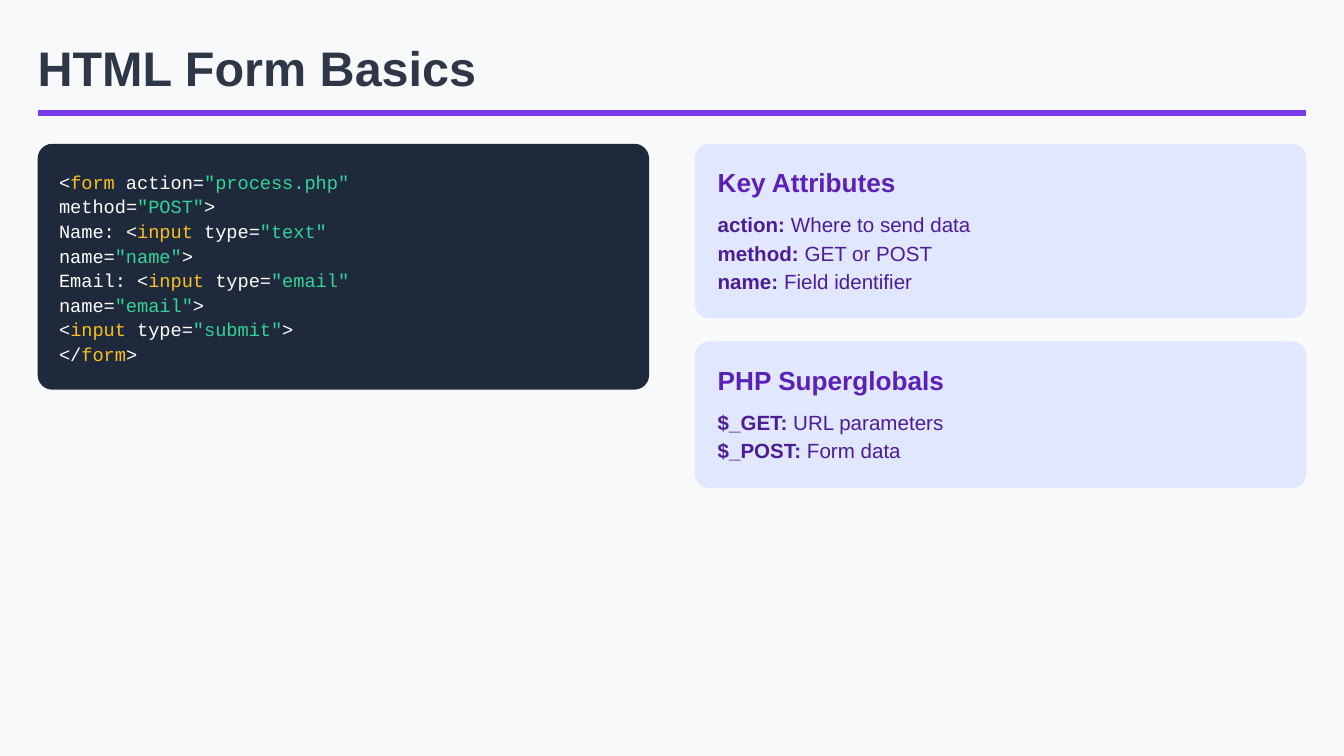
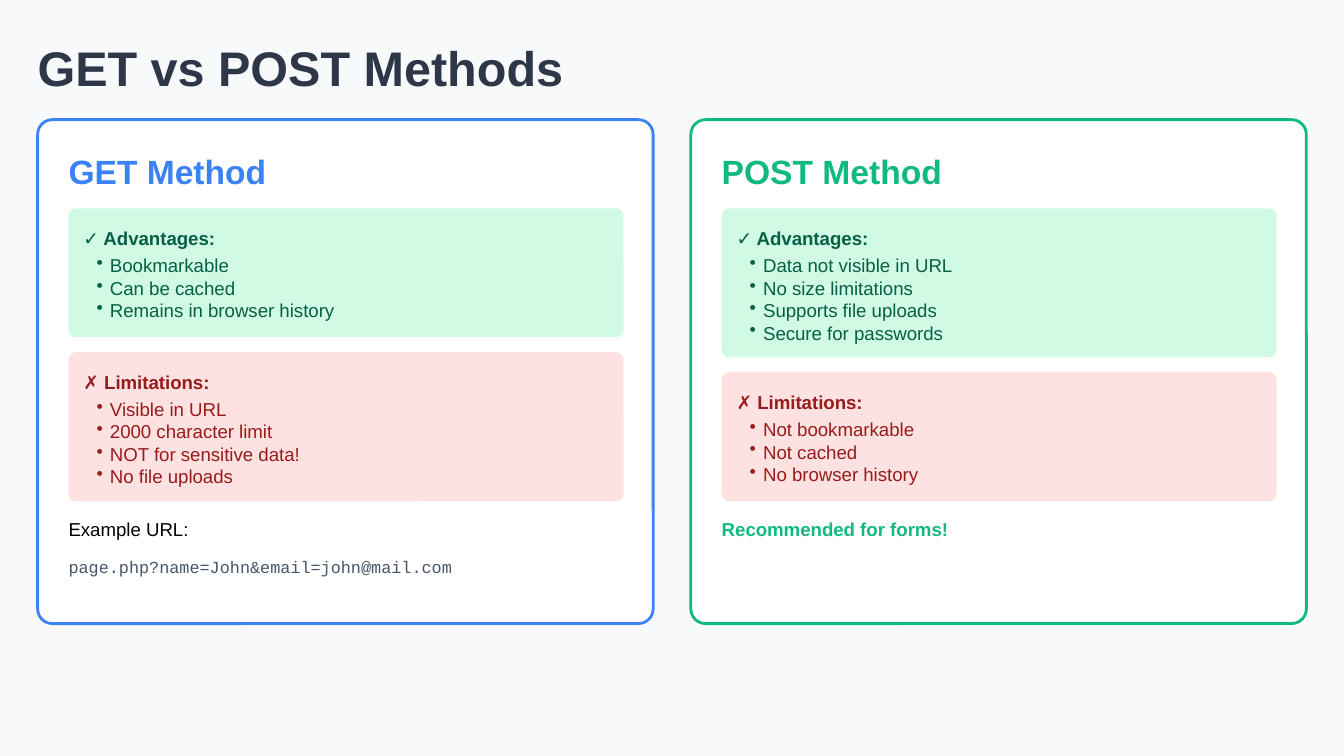
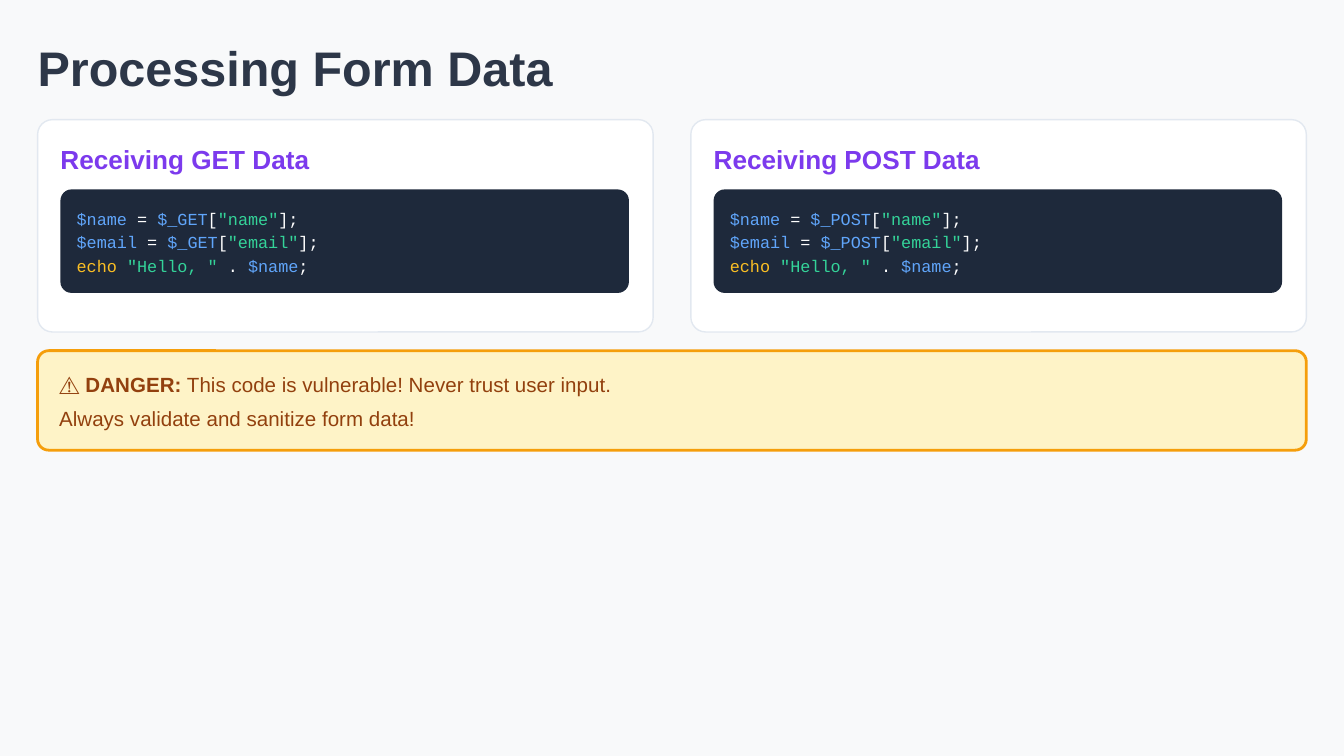
"""Build three slides on HTML forms and PHP form handling."""
from lxml import etree
from pptx import Presentation
from pptx.dml.color import RGBColor
from pptx.enum import shapes, text
from pptx.oxml import ns
from pptx.util import Inches, Pt

COLORS = {
    "page": "F8F9FA", "title": "2D3748", "white": "FFFFFF", "black": "000000",
    "violet": "7C3AED", "code_bg": "1E293B", "tag": "FBBF24", "string": "34D399",
    "variable": "60A5FA", "info_bg": "E0E7FF", "info_head": "5B21B6",
    "info_text": "4C1D95", "get": "3B82F6", "post": "10B981",
    "pro_bg": "D1FAE5", "pro": "065F46", "con_bg": "FEE2E2", "con": "991B1B",
    "url": "475569", "border": "E2E8F0", "warn_bg": "FEF3C7",
    "warn_line": "F59E0B", "warn": "92400E",
}
SANS, MONO = "Arial", "Courier New"
LEFT, RIGHT = 0.28, 9.72
PANEL_WIDTH, PANEL_TOP = 4.58, 0.89


def color(name):
    """Return the named colour."""
    return RGBColor.from_string(COLORS[name])


def add_spans(para, spans, size, font=SANS):
    """Add (text, colour[, bold]) spans to a paragraph as runs."""
    for words, shade, *bold in spans:
        span = para.add_run()
        span.text = words
        span.font.name, span.font.size = font, Pt(size)
        span.font.color.rgb = color(shade)
        span.font.bold = bool(bold and bold[0])


def add_frame(page, left, top, width, height, inset=0):
    """Add a wrapping text box and return its text frame."""
    frame = page.shapes.add_textbox(
        Inches(left), Inches(top), Inches(width), Inches(height)).text_frame
    frame.word_wrap = True
    frame.vertical_anchor = text.MSO_ANCHOR.TOP
    frame.margin_left = Inches(inset)
    frame.margin_top = frame.margin_right = frame.margin_bottom = 0
    return frame


def add_line(page, left, top, width, spans, size, font=SANS):
    """Add one line of text in a box as tall as the line."""
    frame = add_frame(page, left, top, width, round(size * 0.016, 2))
    add_spans(frame.paragraphs[0], spans, size, font)


def add_lines(page, left, top, width, pitch, lines, size, font=SANS):
    """Add lines of text at an equal pitch."""
    for index, spans in enumerate(lines):
        add_line(page, left, top + index * pitch, width, spans, size, font)


def add_panel(page, left, top, width, height, radius, fill, line=None, weight=1.5):
    """Add a rounded panel with a fixed corner radius."""
    panel = page.shapes.add_shape(
        shapes.MSO_SHAPE.ROUNDED_RECTANGLE,
        Inches(left), Inches(top), Inches(width), Inches(height))
    panel.shadow.inherit = False
    panel.adjustments[0] = radius / min(width, height)
    panel.fill.solid()
    panel.fill.fore_color.rgb = color(fill)
    if line:
        panel.line.color.rgb = color(line)
        panel.line.width = Pt(weight)
    else:
        panel.line.fill.background()


def add_bullets(page, left, top, items, shade):
    """Add a bulleted list."""
    frame = add_frame(page, left, top, 3.9, 0.02 + 0.15 * len(items), 0.1)
    for index, item in enumerate(items):
        para = frame.paragraphs[0] if index == 0 else frame.add_paragraph()
        props = para._p.get_or_add_pPr()
        props.set("marL", str(Inches(0.1)))
        props.set("indent", str(-Inches(0.1)))
        etree.SubElement(props, ns.qn("a:buSzPct")).set("val", "100000")
        etree.SubElement(props, ns.qn("a:buChar")).set("char", "•")
        para.font.size = Pt(10)
        add_spans(para, [(item, shade)], 10)


def add_page(deck, title):
    """Add a blank page with the shared background and title."""
    page = deck.slides.add_slide(deck.slide_layouts[6])
    page.background.fill.solid()
    page.background.fill.fore_color.rgb = color("page")
    add_line(page, LEFT, 0.28, 9.63, [(title, "title", True)], 26)
    return page


def add_title_rule(page, top):
    """Draw the rule below the title."""
    rule = page.shapes.add_connector(
        shapes.MSO_CONNECTOR.STRAIGHT,
        Inches(LEFT), Inches(top), Inches(RIGHT), Inches(top))
    rule.line.color.rgb = color("violet")
    rule.line.width = Pt(3)
    etree.SubElement(rule._element.spPr, ns.qn("a:effectLst"))


def add_info_card(page, left, top, width, heading, facts):
    """Add a card of terms with meanings and return its height."""
    height = 0.67 + 0.21 * len(facts)
    add_panel(page, left, top, width, height, 0.11, "info_bg")
    add_line(page, left + 0.17, top + 0.17, 4.3, [(heading, "info_head", True)], 14)
    lines = [[(term, "info_text", True), (f" {meaning}", "info_text")]
             for term, meaning in facts]
    add_lines(page, left + 0.17, top + 0.51, 4.3, 0.21, lines, 11)
    return height


def add_form_code(page, left, top, width):
    """Add the HTML form listing."""
    add_panel(page, left, top, width, 1.83, 0.11, "code_bg")
    lines = [
        [("<", "white"), ("form", "tag"), (" action=", "white"),
         ('"process.php"', "string")],
        [("method=", "white"), ('"POST"', "string"), (">", "white")],
        [("Name: <", "white"), ("input", "tag"), (" type=", "white"),
         ('"text"', "string")],
        [("name=", "white"), ('"name"', "string"), (">", "white")],
        [("Email: <", "white"), ("input", "tag"), (" type=", "white"),
         ('"email"', "string")],
        [("name=", "white"), ('"email"', "string"), (">", "white")],
        [("<", "white"), ("input", "tag"), (" type=", "white"),
         ('"submit"', "string"), (">", "white")],
        [("</", "white"), ("form", "tag"), (">", "white")],
    ]
    add_lines(page, left + 0.16, top + 0.2, 4.3, 1.28 / 7, lines, 10, MONO)


def add_method_panel(page, left, top, method, accent, pros, cons):
    """Add a panel with the advantages and limitations of a method."""
    add_panel(page, left, top, PANEL_WIDTH, 3.75, 0.11, "white", accent)
    inner = left + 0.23
    add_line(page, inner, top + 0.23, 4.21, [(f"{method} Method", accent, True)], 18)
    note_top = top + 0.66
    for heading, items, shade in (("✓ Advantages:", pros, "pro"),
                                  ("✗ Limitations:", cons, "con")):
        height = 0.51 + 0.15 * len(items)
        add_panel(page, inner, note_top, 4.13, height, 0.056, f"{shade}_bg")
        add_line(page, inner + 0.11, note_top + 0.14, 3.98, [(heading, shade, True)], 10)
        add_bullets(page, inner + 0.11, note_top + 0.34, items, shade)
        note_top += height + 0.11


def add_receiving_panel(page, left, top, method):
    """Add a panel with the PHP code that reads the data of a method."""
    add_panel(page, left, top, PANEL_WIDTH, 1.58, 0.11, "white", "border", 0.75)
    inner = left + 0.17
    add_line(page, inner, top + 0.18, 4.31,
             [(f"Receiving {method} Data", "violet", True)], 14)
    add_panel(page, inner, top + 0.52, 4.23, 0.77, 0.083, "code_bg")
    lines = [[(f"${field}", "variable"), (" = ", "white"),
              (f"$_{method}", "variable"), ("[", "white"),
              (f'"{field}"', "string"), ("];", "white")]
             for field in ("name", "email")]
    lines.append([("echo ", "tag"), ('"Hello, "', "string"), (" . ", "white"),
                  ("$name", "variable"), (";", "white")])
    add_lines(page, inner + 0.12, top + 0.66, 4.09, 0.35 / 2, lines, 9, MONO)


def add_warning(page, left, top):
    """Add the warning band."""
    add_panel(page, left, top, RIGHT - LEFT, 0.74, 0.083, "warn_bg", "warn_line")
    lines = [
        [("⚠️ DANGER:", "warn", True),
         (" This code is vulnerable! Never trust user input.", "warn")],
        [("Always validate and sanitize form data!", "warn")],
    ]
    add_lines(page, left + 0.16, top + 0.16, 9.31, 0.25, lines, 11)


def build_basics(deck):
    """Build the slide on form basics."""
    page = add_page(deck, "HTML Form Basics")
    add_title_rule(page, 0.84)
    top, width = 1.07, 4.55
    add_form_code(page, LEFT, top, width)
    cards = [
        ("Key Attributes", [("action:", "Where to send data"),
                            ("method:", "GET or POST"),
                            ("name:", "Field identifier")]),
        ("PHP Superglobals", [("$_GET:", "URL parameters"),
                              ("$_POST:", "Form data")]),
    ]
    for heading, facts in cards:
        top += add_info_card(page, RIGHT - width, top, width, heading, facts) + 0.17


def build_methods(deck):
    """Build the slide that compares GET and POST."""
    page = add_page(deck, "GET vs POST Methods")
    right_panel = RIGHT - PANEL_WIDTH
    add_method_panel(
        page, LEFT, PANEL_TOP, "GET", "get",
        ["Bookmarkable", "Can be cached", "Remains in browser history"],
        ["Visible in URL", "2000 character limit", "NOT for sensitive data!",
         "No file uploads"])
    add_method_panel(
        page, right_panel, PANEL_TOP, "POST", "post",
        ["Data not visible in URL", "No size limitations",
         "Supports file uploads", "Secure for passwords"],
        ["Not bookmarkable", "Not cached", "No browser history"])
    closing_top = PANEL_TOP + 2.96
    add_line(page, LEFT + 0.23, closing_top, 4.21, [("Example URL:", "black")], 10)
    add_line(page, LEFT + 0.23, closing_top + 0.29, 4.21,
             [("page.php?name=John&email=john@mail.com", "url")], 9, MONO)
    add_line(page, right_panel + 0.23, closing_top, 4.21,
             [("Recommended for forms!", "post", True)], 10)


def build_processing(deck):
    """Build the slide on processing form data."""
    page = add_page(deck, "Processing Form Data")
    add_receiving_panel(page, LEFT, PANEL_TOP, "GET")
    add_receiving_panel(page, RIGHT - PANEL_WIDTH, PANEL_TOP, "POST")
    add_warning(page, LEFT, 2.61)


def main():
    """Build and save the deck."""
    deck = Presentation()
    deck.slide_width = Inches(10)
    deck.slide_height = deck.slide_width * 9 // 16
    build_basics(deck)
    build_methods(deck)
    build_processing(deck)
    deck.save("out.pptx")


if __name__ == "__main__":
    main()
